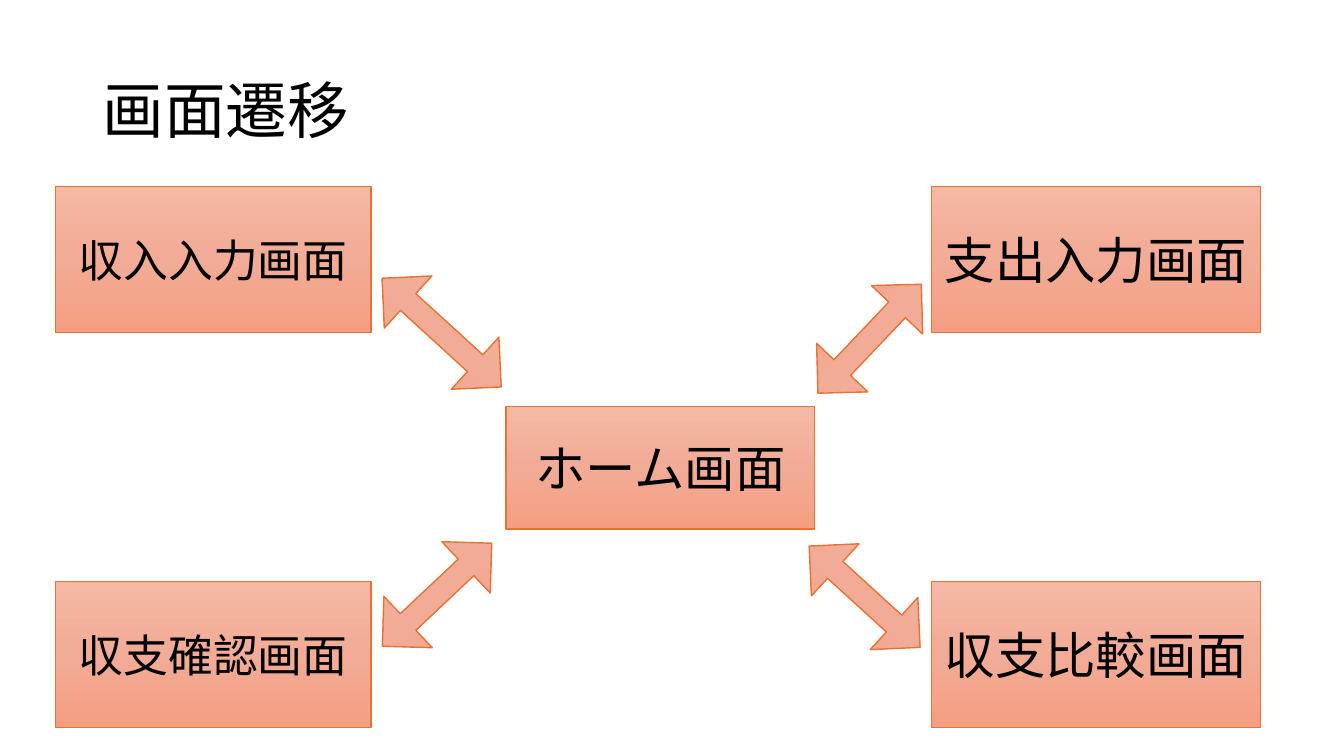
"""Build the screen transition slide: a home screen linked to four other screens."""
from copy import deepcopy

from lxml import etree
from pptx import Presentation
from pptx.dml.color import RGBColor
from pptx.enum.shapes import MSO_SHAPE
from pptx.enum.text import MSO_ANCHOR, PP_ALIGN
from pptx.oxml.ns import qn
from pptx.util import Inches, Pt

FONT = "Noto Sans CJK JP"
GRADIENT = [(0, "F5B8A5"), (0.5, "F2AB96"), (1, "F59E82")]


def add_box(kind, left, top, width, height):
    sp = s.shapes.add_shape(kind, Inches(left), Inches(top), Inches(width), Inches(height))
    sp.shadow.inherit = False
    sp.fill.gradient()
    sp.fill.gradient_angle = 270
    first = sp._element.spPr.find(".//" + qn("a:gs"))
    first.addnext(deepcopy(first))
    for stop, (position, color) in zip(sp.fill.gradient_stops, GRADIENT):
        stop.position = position
        stop.color.rgb = RGBColor.from_string(color)
    sp.line.color.rgb = RGBColor.from_string("E97132")
    sp.line.width = Pt(1)
    return sp


def write(sp, text, size, align):
    tf = sp.text_frame
    tf.word_wrap = True
    tf.vertical_anchor = MSO_ANCHOR.MIDDLE
    p = tf.paragraphs[0]
    p.text = text
    p.alignment = align
    p.font.size = Pt(size)
    p.font.name = FONT
    p.font.color.rgb = RGBColor.from_string("000000")
    props = p._p.find(".//" + qn("a:defRPr"))
    etree.SubElement(props, qn("a:ea")).set("typeface", FONT)
    return p


prs = Presentation()
prs.slide_width, prs.slide_height = Inches(13.33), Inches(7.5)
s = prs.slides.add_slide(prs.slide_layouts[6])

title = s.shapes.add_textbox(Inches(0.92), Inches(0.4), Inches(11.5), Inches(1.45))
write(title, "画面遷移", 44, PP_ALIGN.LEFT).line_spacing = 0.9

home = add_box(MSO_SHAPE.RECTANGLE, 5.02, 4.03, 3.06, 1.22)
write(home, "ホーム画面", 36, PP_ALIGN.CENTER)

columns = [
    (9.24, 3.26, 36, ["支出入力画面", "収支比較画面"]),
    (0.55, 3.13, 32, ["収入入力画面", "収支確認画面"]),
]
for left, width, size, names in columns:
    for top, name in zip((1.85, 5.77), names):
        screen = add_box(MSO_SHAPE.RECTANGLE, left, top, width, 1.45)
        write(screen, name, size, PP_ALIGN.CENTER)

arrows = [
    (3.58, 2.95, 1.6, 42.4),
    (3.59, 5.55, 1.49, 316.7),
    (7.88, 3.01, 1.49, 133.5),
    (7.83, 5.57, 1.49, 42.4),
]
for left, top, width, angle in arrows:
    arrow = add_box(MSO_SHAPE.LEFT_RIGHT_ARROW, left, top, width, 0.7)
    arrow.adjustments[0] = 0.322
    arrow.rotation = angle

prs.save("out.pptx")
